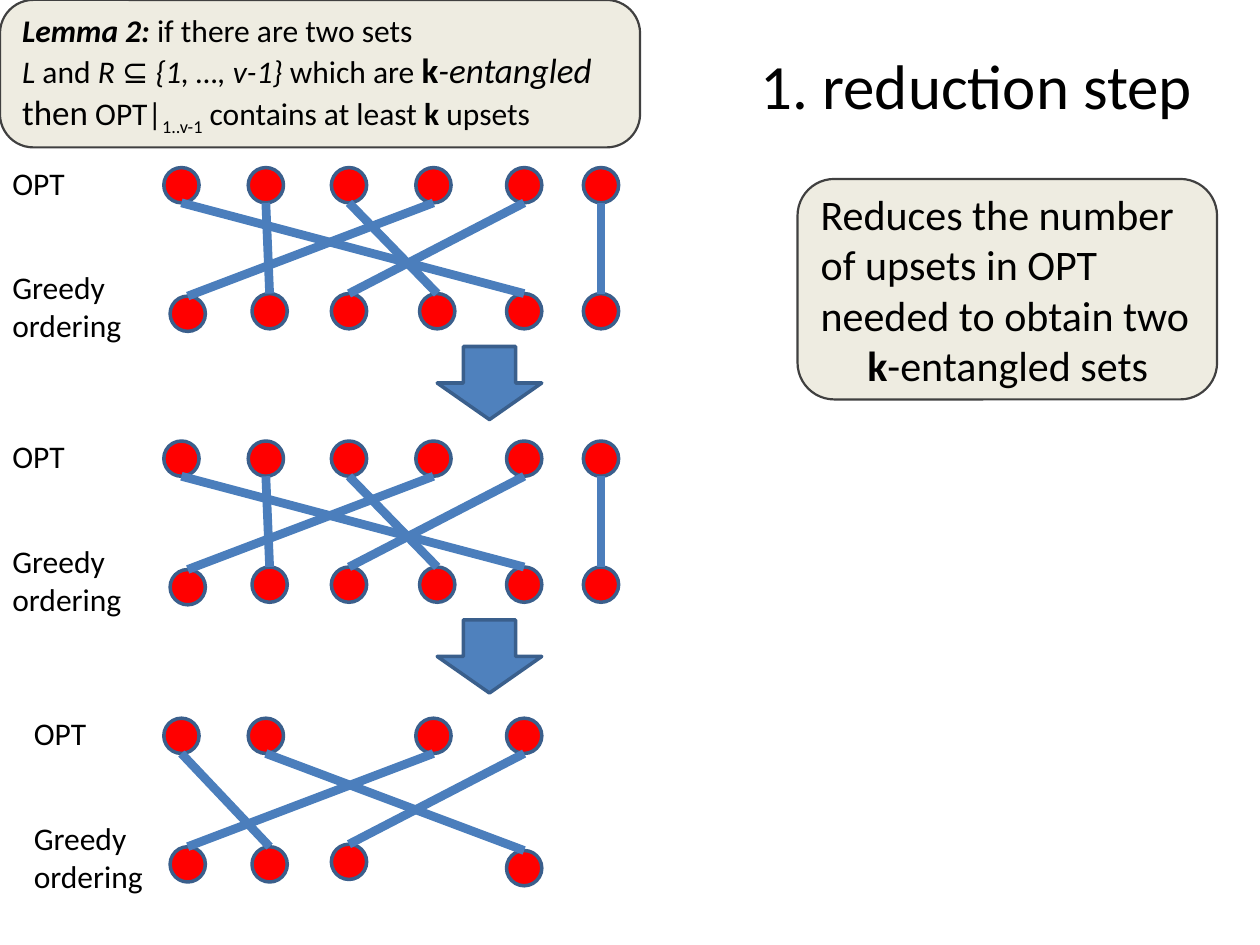
from pptx import Presentation
from pptx.dml.color import RGBColor
from pptx.enum.shapes import MSO_CONNECTOR, MSO_SHAPE
from pptx.enum.text import MSO_ANCHOR, PP_ALIGN
from pptx.oxml.ns import qn
from pptx.util import Inches, Pt
from lxml import etree

ELLIPSE, DOWN_ARROW = MSO_SHAPE.OVAL, MSO_SHAPE.DOWN_ARROW
ROUNDED, STRAIGHT = MSO_SHAPE.ROUNDED_RECTANGLE, MSO_CONNECTOR.STRAIGHT
MIDDLE, TOP = MSO_ANCHOR.MIDDLE, MSO_ANCHOR.TOP
LEFT, CENTER = PP_ALIGN.LEFT, PP_ALIGN.CENTER

FONT = "Calibri"
COLORS = {"text": "000000", "dot": "FF0000", "outline": "3A5F8C", "link": "4B7EBC",
          "arrow": "4F81BD", "panel": "EEECE1", "border": "404040"}

TITLE = "1. reduction step"
LEMMA = [
    [("Lemma 2: ", 18, "bi"), ("if there are two sets", 18, "")],
    [("L", 18, "i"), (" and ", 18, ""), ("R ⊆ {1, …, v-1}", 18, "i"), (" which are ", 18, ""),
     ("k", 20, "b"), ("-entangled ", 20, "i"), ("then", 20, ""), (" OPT|", 18, ""),
     ("1..v-1", 18, "s"), (" contains at least ", 18, ""), ("k", 18, "b"), (" upsets", 18, "")],
]
EFFECT = [
    [("Reduces the number of upsets in OPT needed to obtain two", 24, "")],
    [("k", 24, "b"), ("-entangled sets", 24, "")],
]

DOT = 0.28
OPT_X = [1.3, 1.97, 2.63, 3.3, 4.02, 4.63]
GREEDY_X = [1.35, 2, 2.63, 3.33, 4.02, 4.63]
FULL_LINKS = [(1, 1), (0, 4), (3, 0), (2, 3), (4, 2), (5, 5)]
REDUCED_LINKS = [(1, 4), (0, 1), (3, 0), (4, 2)]
FULL_DROPS = [1.02, 1, 1, 1, 1, 1]
REDUCED_DROPS = [1.02, 1.02, 1, 1, 1.05, 1]
STEPS = [
    {"top": 1.33, "label_x": 0, "links": FULL_LINKS, "drops": FULL_DROPS, "arrow": True},
    {"top": 3.5, "label_x": 0, "links": FULL_LINKS, "drops": FULL_DROPS, "arrow": True},
    {"top": 5.7, "label_x": 0.17, "links": REDUCED_LINKS, "drops": REDUCED_DROPS, "arrow": False},
]


def color(name):
    return RGBColor.from_string(COLORS[name])


def write(frame, paragraphs, anchor, align=LEFT):
    frame.word_wrap = True
    frame.vertical_anchor = anchor
    for index, spans in enumerate(paragraphs):
        para = frame.add_paragraph() if index else frame.paragraphs[0]
        para.alignment = align
        for words, size, style in spans:
            span = para.add_run()
            span.text = words
            span.font.name = FONT
            span.font.size = Pt(size)
            span.font.color.rgb = color("text")
            span.font.bold = "b" in style
            span.font.italic = "i" in style
            if "s" in style:
                span.font._element.set("baseline", "-25000")


def add_shape(page, kind, place, fill, line, width):
    shape = page.shapes.add_shape(kind, *map(Inches, place))
    shape.shadow.inherit = False
    shape.fill.solid()
    shape.fill.fore_color.rgb = color(fill)
    shape.line.color.rgb = color(line)
    shape.line.width = Pt(width)
    return shape


def add_panel(page, place, rounding, paragraphs):
    panel = add_shape(page, ROUNDED, place, "panel", "border", 1.25)
    panel.adjustments[0] = rounding
    write(panel.text_frame, paragraphs, MIDDLE)
    return panel


def add_label(page, place, words):
    box = page.shapes.add_textbox(*map(Inches, place))
    write(box.text_frame, [[(words, 18, "")]], TOP)


def add_link(page, start, end):
    link = page.shapes.add_connector(STRAIGHT, *map(Inches, start + end))
    link.line.color.rgb = color("link")
    link.line.width = Pt(5)
    etree.SubElement(link._element.spPr, qn("a:effectLst"))


def add_step(page, top, label_x, links, drops, arrow):
    ends = []
    for upper, lower in links:
        opt = (OPT_X[upper], top)
        greedy = (GREEDY_X[lower], top + drops[lower])
        for x, y in (opt, greedy):
            add_shape(page, ELLIPSE, (x, y, DOT, DOT), "dot", "outline", 2)
        ends.append(((opt[0] + DOT / 2, top + DOT), (greedy[0] + DOT / 2, greedy[1])))
    for start, end in ends:
        add_link(page, start, end)
    if arrow:
        add_shape(page, DOWN_ARROW, (3.47, top + 1.42, 0.83, 0.58), "arrow", "outline", 2)
    add_label(page, (label_x, top - 0.08, 0.75, 0.4), "OPT")
    add_label(page, (label_x, top + 0.75, 1.67, 0.71), "Greedy ordering")


def main():
    deck = Presentation()
    deck.slide_width, deck.slide_height = Inches(10), Inches(7.5)
    page = deck.slides.add_slide(deck.slide_layouts[5])

    title = page.shapes.title
    title.left, title.top, title.width, title.height = map(Inches, (5.75, 0.17, 4, 1))
    write(title.text_frame, [[(TITLE, 36, "")]], MIDDLE, CENTER)

    for step in STEPS:
        add_step(page, **step)

    effect = add_panel(page, (6.33, 1.42, 3.33, 1.75), 0.167, EFFECT)
    effect.text_frame.paragraphs[1]._p.get_or_add_pPr().set("marL", str(Inches(0.37)))
    add_panel(page, (0, 0, 5.08, 1.17), 0.226, LEMMA)
    deck.save("out.pptx")


if __name__ == "__main__":
    main()
